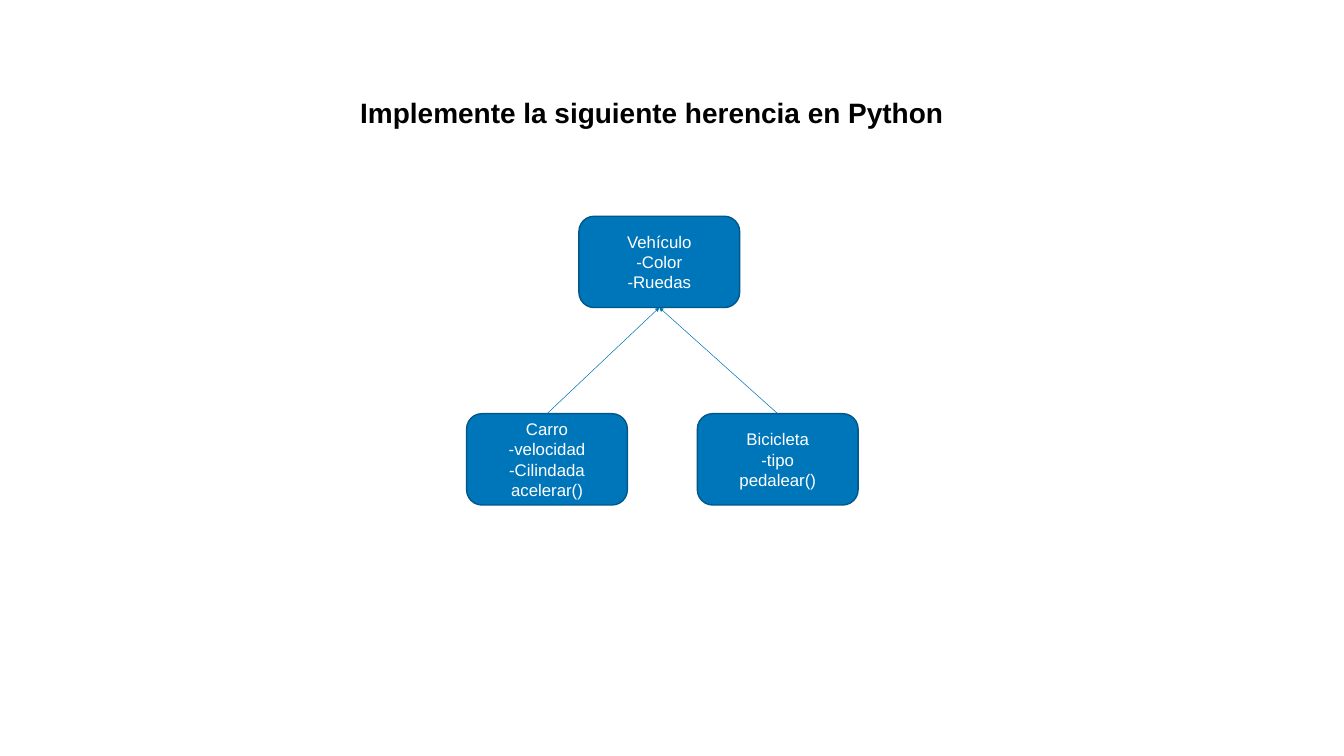
from lxml import etree
from pptx import Presentation
from pptx.dml.color import RGBColor
from pptx.enum.shapes import MSO_CONNECTOR, MSO_SHAPE
from pptx.enum.text import MSO_ANCHOR, PP_ALIGN
from pptx.oxml.ns import qn
from pptx.util import Cm, Pt

ROUNDED = MSO_SHAPE.ROUNDED_RECTANGLE
STRAIGHT = MSO_CONNECTOR.STRAIGHT
MIDDLE = MSO_ANCHOR.MIDDLE
CENTER = PP_ALIGN.CENTER
TITLE_ONLY = 5
BOTTOM_SITE, TOP_SITE = 2, 0

FONT = "Arial"
CLASS_WIDTH, CLASS_HEIGHT = 8.1, 4.6


def color(value):
    return RGBColor.from_string(value)


def format_text(para, size, hex_color, bold=False):
    para.alignment = CENTER
    para.font.name = FONT
    para.font.size = Pt(size)
    para.font.bold = bold
    para.font.color.rgb = color(hex_color)


def add_title(page, text, left, top, width, height):
    title = page.shapes.title
    title.left, title.top = Cm(left), Cm(top)
    title.width, title.height = Cm(width), Cm(height)
    title.text_frame.text = text
    title.text_frame.vertical_anchor = MIDDLE
    format_text(title.text_frame.paragraphs[0], 40, "000000", bold=True)


def add_class(page, paragraphs, left, top):
    """Add a class box; a newline inside a paragraph is a line break."""
    box = page.shapes.add_shape(
        ROUNDED, Cm(left), Cm(top), Cm(CLASS_WIDTH), Cm(CLASS_HEIGHT))
    box.shadow.inherit = False
    box.fill.solid()
    box.fill.fore_color.rgb = color("0076BA")
    box.line.color.rgb = color("00578A")
    box.line.width = Pt(2)
    frame = box.text_frame
    frame.word_wrap = True
    frame.vertical_anchor = MIDDLE
    for index, text in enumerate(paragraphs):
        para = frame.add_paragraph() if index else frame.paragraphs[0]
        para.text = text
        format_text(para, 24, "FFFFFF")
    return box


def add_inheritance(page, child, parent):
    """Draw an arrow from the top of the child to the foot of the parent."""
    arrow = page.shapes.add_connector(STRAIGHT, 0, 0, 0, 0)
    arrow.begin_connect(child, TOP_SITE)
    arrow.end_connect(parent, BOTTOM_SITE)
    arrow.line.color.rgb = color("0073B6")
    arrow.line.width = Pt(0.75)
    properties = arrow.element.spPr
    etree.SubElement(properties.find(qn("a:ln")), qn("a:tailEnd"), type="triangle")
    etree.SubElement(properties, qn("a:effectLst"))


def add_class_diagram(page, left, top):
    child_top = top + 9.95
    vehicle = add_class(page, ["Vehículo", "-Color", "-Ruedas"], left + 5.66, top)
    bicycle = add_class(
        page, ["Bicicleta", "-tipo\npedalear()"], left + 11.63, child_top)
    car = add_class(
        page, ["Carro\n-velocidad\n-Cilindada\nacelerar()"], left, child_top)
    for child in (bicycle, car):
        add_inheritance(page, child, vehicle)


def main():
    deck = Presentation()
    deck.slide_width, deck.slide_height = Cm(67.74), Cm(38.1)
    page = deck.slides.add_slide(deck.slide_layouts[TITLE_ONLY])
    add_title(page, "Implemente la siguiente herencia en Python",
              6.43, 4.67, 52.83, 1.96)
    add_class_diagram(page, 23.52, 10.9)
    deck.save("out.pptx")


if __name__ == "__main__":
    main()
